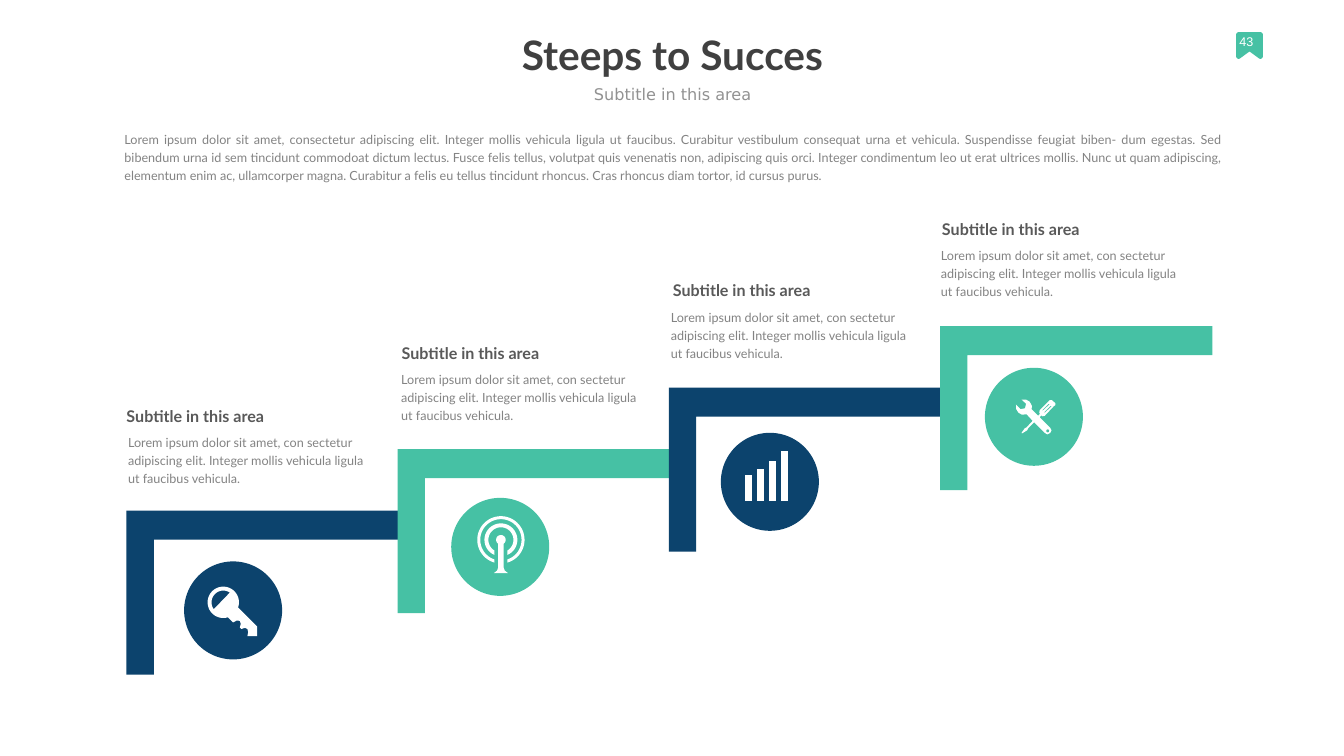
"""Build the staircase slide with four illustrated steps."""
from dataclasses import dataclass, field
from math import asin, cos, degrees, radians, sin

from pptx import Presentation
from pptx.dml.color import RGBColor
from pptx.enum.shapes import MSO_SHAPE
from pptx.enum.text import MSO_ANCHOR, MSO_AUTO_SIZE, PP_ALIGN
from pptx.util import Pt

OVAL = MSO_SHAPE.OVAL
TOP, MIDDLE = MSO_ANCHOR.TOP, MSO_ANCHOR.MIDDLE
LEFT, CENTER, JUSTIFY = PP_ALIGN.LEFT, PP_ALIGN.CENTER, PP_ALIGN.JUSTIFY
NO_AUTOFIT = MSO_AUTO_SIZE.NONE

Point = tuple[float, float]
Contour = list[Point]
Part = list[Contour]


@dataclass(frozen=True)
class TextStyle:
    size: float
    color: str
    name: str = "Lato"
    bold: bool = False
    align: PP_ALIGN = LEFT
    spacing: float = 1.0
    anchor: MSO_ANCHOR = TOP
    inset: float = 0


@dataclass(frozen=True)
class Theme:
    navy: str = "0C436D"
    green: str = "46C1A4"
    white: str = "FFFFFF"
    title: TextStyle = TextStyle(58, "404040", bold=True, align=CENTER, anchor=MIDDLE, inset=4.3)
    subtitle: TextStyle = TextStyle(23, "929292", "DejaVu Sans", align=CENTER)
    intro: TextStyle = TextStyle(18, "838383", align=JUSTIFY, spacing=1.2)
    heading: TextStyle = TextStyle(23, "595959", bold=True)
    body: TextStyle = TextStyle(18, "838383", spacing=1.2)
    number: TextStyle = TextStyle(18, "FFFFFF", "Arial")


@dataclass(frozen=True)
class Step:
    color: str
    heading: Point
    body: Point
    center: Point
    icon: list[Part] = field(default_factory=list)


THEME = Theme()
INTRO = (
    "Lorem ipsum dolor sit amet, consectetur adipiscing elit. Integer mollis vehicula ligula ut faucibus. "
    "Curabitur vestibulum consequat urna et vehicula. Suspendisse feugiat biben- dum egestas. Sed bibendum "
    "urna id sem tincidunt commodoat dictum lectus. Fusce felis tellus, volutpat quis venenatis non, "
    "adipiscing quis orci. Integer condimentum leo ut erat ultrices mollis. Nunc ut quam adipiscing, "
    "elementum enim ac, ullamcorper magna. Curabitur a felis eu tellus tincidunt rhoncus. "
    "Cras rhoncus diam tortor, id cursus purus."
)
SUBTITLE = "Subtitle in this area"
BODY = (
    "Lorem ipsum dolor sit amet, con sectetur adipiscing elit. "
    "Integer mollis vehicula ligula ut faucibus vehicula."
)
DISC = 140
STEP_X, STEP_Y, STEP_DX, STEP_DY = 180.7, 729.4, 387.4, -87.87
ARM_W, ARM_H, BAR_W, BAR_H = 389, 234.5, 39, 41.5


def arc(cx: float, cy: float, radius: float, start: float, end: float) -> Contour:
    """Return points on an arc, with angles in degrees running clockwise."""
    n = max(6, int(abs(end - start) / 6))
    angles = [radians(start + (end - start) * i / n) for i in range(n + 1)]
    return [(cx + radius * cos(a), cy + radius * sin(a)) for a in angles]


def open_ring(cx: float, cy: float, outer: float, inner: float, gap: float) -> Contour:
    """Return a ring that is open at the bottom by twice the gap."""
    a, b = degrees(asin(gap / outer)), degrees(asin(gap / inner))
    return arc(cx, cy, outer, 90 + a, 450 - a) + arc(cx, cy, inner, 450 - b, 90 + b)


def box(x: float, y: float, w: float, h: float) -> Contour:
    """Return the corners of a rectangle."""
    return [(x, y), (x + w, y), (x + w, y + h), (x, y + h)]


def key_icon() -> list[Part]:
    """Return a key with a half-moon opening in its head."""
    blade = [(34.2, 23), (34.2, 36.7), (20.5, 36.7), (21.6, 31), (20.5, 26.6), (17, 25), (11.9, 26.6),
             (9.7, 24.5), (11, 19), (9.7, 15.1), (5.4, 14.4), (0, 17.3)]
    return [[arc(-14, -11.5, 22.4, 73, 379) + blade, arc(-14, -11.5, 16.8, 144, 304)]]


def antenna_icon() -> list[Part]:
    """Return two open rings around a mast."""
    foot = [(4.9, 29.6), (6.5, 34), (11, 37.5), (-9, 37.5), (-4.5, 34), (-2.9, 29.6)]
    return [
        [open_ring(1, -10, 23.5, 17.9, 9.2)],
        [open_ring(1, -10, 33.8, 29.5, 9.2)],
        [arc(1, -10, 6.8, 125, 415) + foot],
    ]


def bars_icon() -> list[Part]:
    """Return four rising bars on one baseline."""
    return [[box(-35.6 + 17.1 * i, 28 - h, 10.6, h)] for i, h in enumerate((37.6, 46, 57.6, 72))]


def tools_icon() -> list[Part]:
    """Return a wrench crossed with a screwdriver."""
    outline = [
        (30.6, -19.4), (25.6, -23.8), (22.7, -23.8), (21.2, -22.3), (8.3, -9.4), (7.6, -5.8), (9, -4.3),
        (6.1, -1.4), (-3.2, -10.8), (-2.9, -15.8), (-6.1, -21.6), (-11.2, -24.5), (-17.6, -24.5),
        (-11.2, -18.7), (-12.6, -12.2), (-19.1, -10.8), (-25.6, -17.3), (-25.2, -10.8), (-22, -5.8),
        (-17, -2.9), (-10.4, -3.6), (-1.8, 5.8), (-10.4, 15.1), (-13.3, 16.6), (-17.6, 23), (-16.9, 23.8),
        (-9.7, 19.4), (-8.3, 16.6), (0.4, 7.9), (15.5, 23), (19.1, 25.2), (23.4, 23), (25.2, 19.4),
        (23.4, 15.8), (8.3, 0.7), (10.4, -2.2), (11.9, -0.7), (15.5, -1.4), (28.4, -15.1), (30.6, -16.6),
    ]
    slot = [(11.9, -9.4), (21.2, -18.7), (22.7, -18), (12.6, -8.6)]
    return [[outline, arc(19.8, 20.2, 2.2, 0, 360), slot, [(x + 2.9, y + 2.9) for x, y in slot]]]


def paint(sp, color: str) -> None:
    """Give a shape a plain fill without line or shadow."""
    sp.shadow.inherit = False
    sp.fill.solid()
    sp.fill.fore_color.rgb = RGBColor.from_string(color)
    sp.line.fill.background()


def draw_part(s, part: Part, color: str, origin: Point = (0, 0)) -> None:
    """Draw contours as one freeform placed around an origin."""
    contours = [[(Pt(x), Pt(y)) for x, y in contour] for contour in part]
    builder = s.shapes.build_freeform(*contours[0][0])
    builder.add_line_segments(contours[0][1:], close=True)
    for contour in contours[1:]:
        builder.move_to(*contour[0])
        builder.add_line_segments(contour[1:], close=True)
    paint(builder.convert_to_shape(*map(Pt, origin)), color)


def write(sp, text: str, style: TextStyle) -> None:
    """Fill a shape with one styled paragraph."""
    tf = sp.text_frame
    inset = Pt(style.inset)
    frame = dict(word_wrap=True, auto_size=NO_AUTOFIT, vertical_anchor=style.anchor, margin_left=inset,
                 margin_right=inset, margin_top=inset, margin_bottom=inset)
    p = tf.paragraphs[0]
    r = p.add_run()
    r.text = text
    formats = (
        (tf, frame),
        (p, dict(alignment=style.align, line_spacing=style.spacing)),
        (r.font, dict(name=style.name, size=Pt(style.size), bold=style.bold)),
    )
    for target, values in formats:
        for name, value in values.items():
            setattr(target, name, value)
    r.font.color.rgb = RGBColor.from_string(style.color)


def add_text(s, text: str, style: TextStyle, x: float, y: float, w: float, h: float) -> None:
    """Add a styled text box."""
    write(s.shapes.add_textbox(Pt(x), Pt(y), Pt(w), Pt(h)), text, style)


def draw_step(s, i: int, step: Step) -> None:
    """Draw one stair with its icon, heading and text."""
    arm = [(0, 0), (ARM_W, 0), (ARM_W, BAR_H), (BAR_W, BAR_H), (BAR_W, ARM_H), (0, ARM_H)]
    draw_part(s, [arm], step.color, (STEP_X + STEP_DX * i, STEP_Y + STEP_DY * i))
    cx, cy = step.center
    paint(s.shapes.add_shape(OVAL, Pt(cx - DISC / 2), Pt(cy - DISC / 2), Pt(DISC), Pt(DISC)), step.color)
    for part in step.icon:
        draw_part(s, part, THEME.white, step.center)
    add_text(s, SUBTITLE, THEME.heading, *step.heading, 303, 28)
    add_text(s, BODY, THEME.body, *step.body, 350, 86.4)


def main() -> None:
    """Build and save the presentation."""
    prs = Presentation()
    prs.slide_width, prs.slide_height = Pt(1920), Pt(1080)
    s = prs.slides.add_slide(prs.slide_layouts[5])
    title = s.shapes.title
    title.left, title.top, title.width, title.height = Pt(260), Pt(39.6), Pt(1401), Pt(77)
    write(title, "Steeps to Succes", THEME.title)
    add_text(s, SUBTITLE, THEME.subtitle, 260.6, 121, 1401, 28)
    add_text(s, INTRO, THEME.intro, 177.8, 184.3, 1568, 75)

    badge = (arc(3.5, 3.5, 3.5, 180, 270) + arc(34.5, 3.5, 3.5, 270, 360)
             + arc(34.5, 34.5, 3.5, 0, 120) + [(19, 27.5)] + arc(3.5, 34.5, 3.5, 60, 180))
    draw_part(s, [badge], THEME.green, (1766, 46))
    add_text(s, "43", THEME.number, 1770.5, 48.2, 29, 28)

    steps = (
        Step(THEME.navy, (180.7, 581), (182.9, 616.3), (333, 872), key_icon()),
        Step(THEME.green, (573.8, 491), (573.1, 527), (714.6, 781.2), antenna_icon()),
        Step(THEME.navy, (961.2, 401), (958.3, 438.5), (1099.8, 688.3), bars_icon()),
        Step(THEME.green, (1345.7, 313.9), (1344.2, 349.2), (1477, 595.4), tools_icon()),
    )
    for i, step in enumerate(steps):
        draw_step(s, i, step)
    prs.save("out.pptx")


if __name__ == "__main__":
    main()
